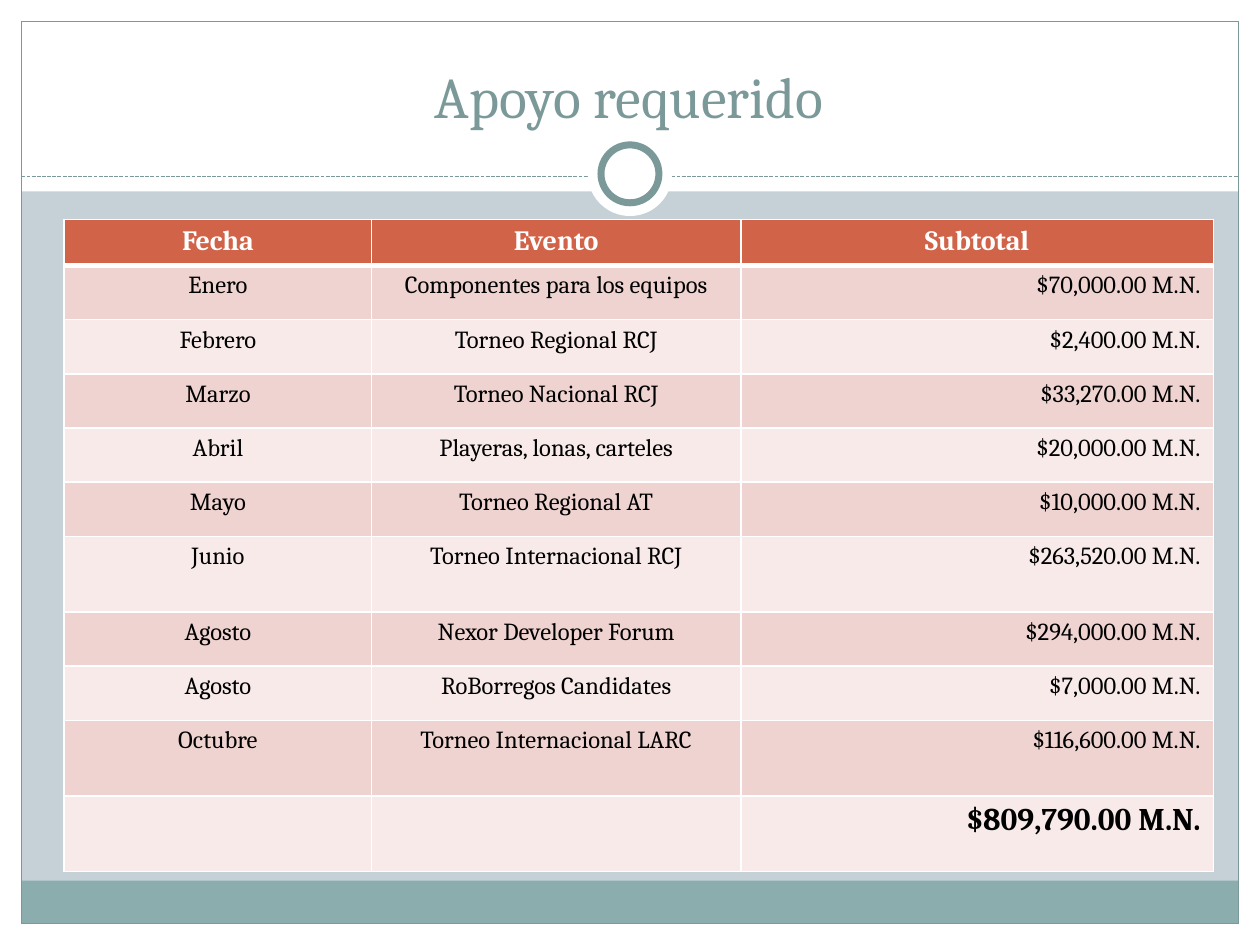
from lxml import etree
from pptx import Presentation
from pptx import util as u
from pptx.dml.color import RGBColor
from pptx.enum import dml, shapes, text
from pptx.oxml.ns import qn

Inches, Pt = u.Inches, u.Pt
FONT = "Cambria"
WHITE, TEAL, BAND, BACKDROP = "FFFFFF", "7C999A", "8CADAE", "C5D1D7"
HEADER, ODD_ROW, EVEN_ROW, BLACK = "D16349", "EED3D0", "F7EAE9", "000000"
CENTER, RIGHT = text.PP_ALIGN.CENTER, text.PP_ALIGN.RIGHT

COLUMNS = [2.44, 2.93, 3.75]
HEADINGS = ["Fecha", "Evento", "Subtotal"]
HEADING_HEIGHT, ROW_HEIGHT, TALL_ROW = 0.35, 0.43, 0.6
EVENTS = [
    ("Enero", "Componentes para los equipos", "$70,000.00 M.N.", ROW_HEIGHT),
    ("Febrero", "Torneo Regional RCJ", "$2,400.00 M.N.", ROW_HEIGHT),
    ("Marzo", "Torneo Nacional RCJ", "$33,270.00 M.N.", ROW_HEIGHT),
    ("Abril", "Playeras, lonas, carteles", "$20,000.00 M.N.", ROW_HEIGHT),
    ("Mayo", "Torneo Regional AT", "$10,000.00 M.N.", ROW_HEIGHT),
    ("Junio", "Torneo Internacional RCJ", "$263,520.00 M.N.", TALL_ROW),
    ("Agosto", "Nexor Developer Forum", "$294,000.00 M.N.", ROW_HEIGHT),
    ("Agosto", "RoBorregos Candidates", "$7,000.00 M.N.", ROW_HEIGHT),
    ("Octubre", "Torneo Internacional LARC", "$116,600.00 M.N.", TALL_ROW),
]
TOTAL = "$809,790.00 M.N."


def color(value):
    return RGBColor.from_string(value)


def add_shape(page, kind, box, fill=None, line=None, weight=0.75):
    shape = page.shapes.add_shape(kind, *map(Inches, box))
    shape.shadow.inherit = False
    if fill:
        shape.fill.solid()
        shape.fill.fore_color.rgb = color(fill)
    else:
        shape.fill.background()
    if line:
        shape.line.color.rgb = color(line)
        shape.line.width = Pt(weight)
    else:
        shape.line.fill.background()
    return shape


def write(frame, words, size, ink, align, bold=False):
    para = frame.paragraphs[0]
    para.text = words
    para.alignment = align
    para.font.name = FONT
    para.font.size = Pt(size)
    para.font.bold = bold
    para.font.color.rgb = color(ink)


def add_frame(page, box):
    """White margins, footer band, outline and the dashed rule with its ring."""
    left, top, width, height = box
    right, bottom = left + width, top + height
    rect, oval = shapes.MSO_SHAPE.RECTANGLE, shapes.MSO_SHAPE.OVAL

    # Margins and title area
    for margin in [(0, bottom, 10, 7.5 - bottom), (0, 0, 10, 1.52),
                   (0, 0, left, 7.5), (right, 0, 10 - right, 7.5)]:
        add_shape(page, rect, margin, WHITE)

    # Footer band and outline
    add_shape(page, rect, (left, bottom - 0.34, width, 0.34), BAND)
    add_shape(page, rect, box, line=TEAL)

    # Dashed rule
    rule_y = 1.4
    rule = page.shapes.add_connector(
        shapes.MSO_CONNECTOR.STRAIGHT,
        Inches(left), Inches(rule_y), Inches(right), Inches(rule_y))
    rule.line.color.rgb = color(TEAL)
    rule.line.width = Pt(0.75)
    rule.line.dash_style = dml.MSO_LINE.SQUARE_DOT
    properties = rule._element.spPr
    etree.SubElement(properties, qn("a:effectLst"))

    # Halo and ring
    center_x, center_y = left + width / 2, 1.38
    for size, line in [(0.67, None), (0.46, TEAL)]:
        add_shape(page, oval, (center_x - size / 2, center_y - size / 2, size, size),
                  WHITE, line, 4)


def add_title(page, box):
    frame = page.shapes.add_textbox(*map(Inches, box)).text_frame
    frame.word_wrap = True
    frame.vertical_anchor = text.MSO_ANCHOR.BOTTOM
    write(frame, "Apoyo requerido", 33, TEAL, CENTER)


def set_borders(cell, top=1, bottom=1):
    properties = cell._tc.get_or_add_tcPr()
    widths = {"a:lnL": 1, "a:lnR": 1, "a:lnT": top, "a:lnB": bottom}
    for place, (tag, width) in enumerate(widths.items()):
        border = etree.Element(qn(tag), w=str(Pt(width)))
        fill = etree.SubElement(border, qn("a:solidFill"))
        etree.SubElement(fill, qn("a:srgbClr"), val=WHITE)
        properties.insert(place, border)


def add_budget(page, box):
    heights = [HEADING_HEIGHT, *(event[3] for event in EVENTS), TALL_ROW]
    rows = [HEADINGS, *(event[:3] for event in EVENTS), ("", "", TOTAL)]
    table = page.shapes.add_table(len(rows), len(COLUMNS), *map(Inches, box)).table
    for column, width in zip(table.columns, COLUMNS):
        column.width = Inches(width)

    last = len(rows) - 1
    for i, (words, height) in enumerate(zip(rows, heights)):
        table.rows[i].height = Inches(height)
        heading, total = i == 0, i == last
        fill = HEADER if heading else ODD_ROW if i % 2 else EVEN_ROW
        size = 16 if heading else 18 if total else 14
        ink = WHITE if heading else BLACK
        for j, word in enumerate(words):
            cell = table.cell(i, j)
            cell.fill.solid()
            cell.fill.fore_color.rgb = color(fill)
            set_borders(cell, top=3 if i == 1 else 1, bottom=3 if heading else 1)
            align = RIGHT if j == 2 and not heading else CENTER
            write(cell.text_frame, word, size, ink, align, heading or total)


def main():
    deck = Presentation()
    deck.slide_width, deck.slide_height = Inches(10), Inches(7.5)
    page = deck.slides.add_slide(deck.slide_layouts[6])
    page.background.fill.solid()
    page.background.fill.fore_color.rgb = color(BACKDROP)
    add_frame(page, (0.17, 0.17, 9.66, 7.16))
    add_title(page, (0.33, 0.25, 9.33, 0.83))
    add_budget(page, (0.51, 1.74, 9.12, 5.18))
    deck.save("out.pptx")


if __name__ == "__main__":
    main()
